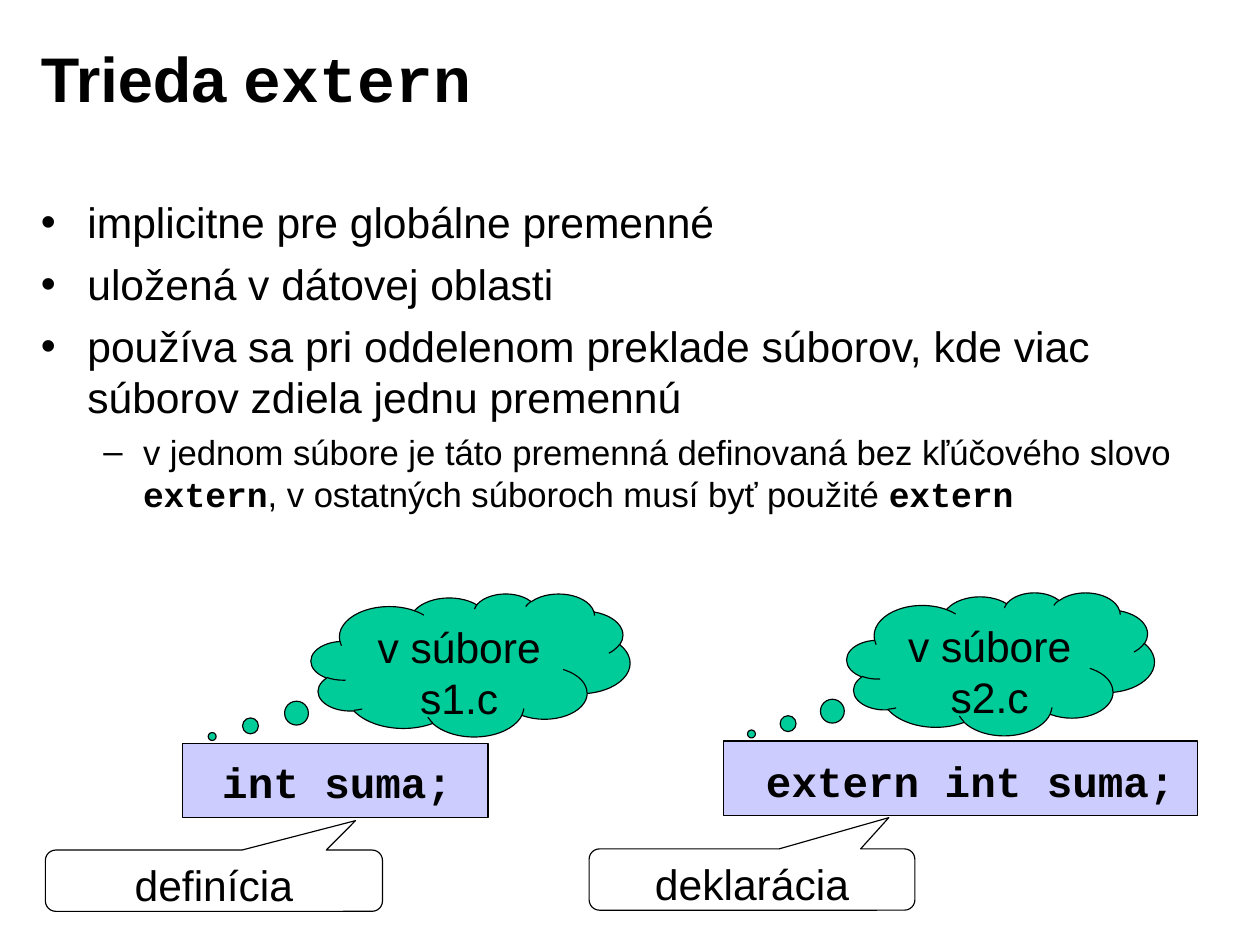
from dataclasses import dataclass
from lxml.etree import SubElement
from pptx import Presentation
from pptx.dml.color import RGBColor
from pptx.enum.shapes import MSO_SHAPE as Preset
from pptx.enum.text import MSO_ANCHOR as Anchor, PP_ALIGN as Align
from pptx.oxml.ns import qn
from pptx.util import Inches, Pt


@dataclass(frozen=True)
class Theme:
    black: RGBColor = RGBColor(0, 0, 0)
    white: RGBColor = RGBColor(255, 255, 255)
    lavender: RGBColor = RGBColor(0xCC, 0xCC, 0xFF)
    green: RGBColor = RGBColor(0, 0xCC, 0x99)
    text_font: str = "Arial"
    code_font: str = "Courier New"
    title_size: float = 40
    body_size: float = 27
    detail_size: float = 22
    line_width: float = 0.75


THEME = Theme()
BULLET_LEVELS = [
    {"char": "•", "margin": 0.41, "hanging": 0.41, "before": 6.8, "size": THEME.body_size},
    {"char": "–", "margin": 0.9, "hanging": 0.35, "before": 5.5, "size": THEME.detail_size},
]
TITLE = [("Trieda ", False), ("extern", True)]
BODY = [
    (0, [("implicitne pre globálne premenné", False)]),
    (0, [("uložená v dátovej oblasti", False)]),
    (0, [("používa sa pri oddelenom preklade súborov, kde viac súborov zdiela jednu premennú", False)]),
    (1, [
        ("v jednom súbore je táto premenná definovaná bez kľúčového slovo ", False),
        ("extern", True),
        (", v ostatných súboroch musí byť použité ", False),
        ("extern", True),
    ]),
]
FILES = [
    {
        "statement": "int suma;",
        "box": (1.61, 6.55, 2.69, 0.65),
        "code": (1.86, 6.61, 2.4, 0.55),
        "file": "v súbore s1.c",
        "cloud": (2.74, 5.23, 2.81, 1.26),
        "cloud_tail": (-0.81, 0.5),
        "role": "definícia",
        "callout": (0.4, 7.49, 2.97, 0.54),
        "callout_tail": (0.42, -0.98, 0.17),
    },
    {
        "statement": "extern int suma;",
        "box": (6.37, 6.53, 4.18, 0.66),
        "code": (6.65, 6.6, 3.9, 0.55),
        "file": "v súbore s2.c",
        "cloud": (7.46, 5.22, 2.71, 1.26),
        "cloud_tail": (-0.81, 0.49),
        "role": "deklarácia",
        "callout": (5.19, 7.48, 2.87, 0.54),
        "callout_tail": (0.42, -1.01, 0.17),
    },
]


def set_all(target, values):
    for name, value in values.items():
        setattr(target, name, value)


def format_frame(frame, anchor=Anchor.TOP, inset=(0.1, 0.05)):
    horizontal, vertical = map(Inches, inset)
    set_all(frame, {
        "word_wrap": True,
        "vertical_anchor": anchor,
        "margin_left": horizontal,
        "margin_right": horizontal,
        "margin_top": vertical,
        "margin_bottom": vertical,
    })


def add_runs(paragraph, parts, size, bold=False):
    for text, is_code in parts:
        run = paragraph.add_run()
        run.text = text
        set_all(run.font, {
            "name": THEME.code_font if is_code else THEME.text_font,
            "size": Pt(size),
            "bold": bold or is_code,
        })
        run.font.color.rgb = THEME.black


def add_text(slide, bounds, parts, size, bold=False, **frame_format):
    frame = slide.shapes.add_textbox(*map(Inches, bounds)).text_frame
    format_frame(frame, **frame_format)
    add_runs(frame.paragraphs[0], parts, size, bold)


def add_bullet(paragraph, level, is_first):
    style = BULLET_LEVELS[level]
    paragraph.level = level
    if not is_first:
        paragraph.space_before = Pt(style["before"])
    properties = paragraph._p.get_or_add_pPr()
    properties.set("marL", str(Inches(style["margin"])))
    properties.set("indent", str(-Inches(style["hanging"])))
    SubElement(properties, qn("a:buFont"), typeface=THEME.text_font)
    SubElement(properties, qn("a:buChar"), char=style["char"])


def add_bullets(slide, bounds, items):
    frame = slide.shapes.add_textbox(*map(Inches, bounds)).text_frame
    format_frame(frame, inset=(0.11, 0.06))
    for index, (level, parts) in enumerate(items):
        paragraph = frame.add_paragraph() if index else frame.paragraphs[0]
        add_bullet(paragraph, level, index == 0)
        add_runs(paragraph, parts, BULLET_LEVELS[level]["size"])


def add_outlined_shape(slide, preset, bounds, fill, text="", adjustments=()):
    shape = slide.shapes.add_shape(preset, *map(Inches, bounds))
    shape.shadow.inherit = False
    shape.fill.solid()
    shape.fill.fore_color.rgb = fill
    shape.line.color.rgb = THEME.black
    shape.line.width = Pt(THEME.line_width)
    for index, value in enumerate(adjustments):
        shape.adjustments[index] = value
    if text:
        format_frame(shape.text_frame)
        paragraph = shape.text_frame.paragraphs[0]
        paragraph.alignment = Align.CENTER
        add_runs(paragraph, [(text, False)], THEME.body_size)


def add_source_file(slide, file):
    add_outlined_shape(slide, Preset.RECTANGLE, file["box"], THEME.lavender)
    add_text(slide, file["code"], [(file["statement"], True)], THEME.body_size)
    add_outlined_shape(slide, Preset.CLOUD_CALLOUT, file["cloud"], THEME.green,
                       file["file"], file["cloud_tail"])
    add_outlined_shape(slide, Preset.ROUNDED_RECTANGULAR_CALLOUT, file["callout"], THEME.white,
                       file["role"], file["callout_tail"])


def main():
    presentation = Presentation()
    set_all(presentation, {"slide_width": Inches(11.1), "slide_height": Inches(8.3)})
    slide = presentation.slides.add_slide(presentation.slide_layouts[6])
    add_text(slide, (0.25, 0.17, 8.92, 1.02), TITLE, THEME.title_size, bold=True,
             anchor=Anchor.MIDDLE, inset=(0.11, 0.06))
    add_bullets(slide, (0.25, 1.67, 10.62, 4.08), BODY)
    for file in FILES:
        add_source_file(slide, file)
    presentation.save("out.pptx")


if __name__ == "__main__":
    main()
